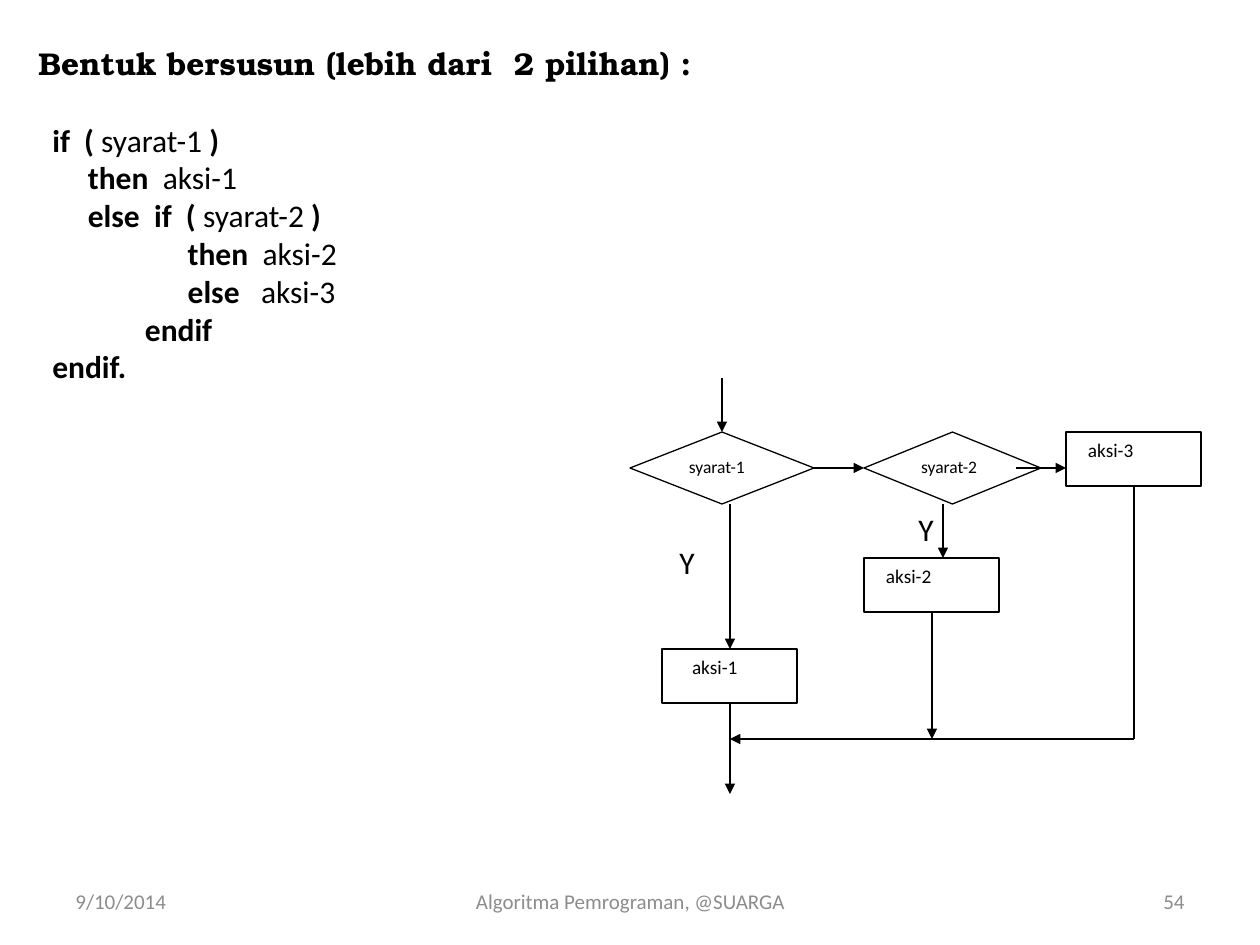
from lxml.etree import SubElement
from pptx import Presentation
from pptx.dml.color import RGBColor as RGB
from pptx.enum.shapes import MSO_CONNECTOR as CONN, MSO_SHAPE as SHAPE
from pptx.enum.text import MSO_ANCHOR as ANCHOR, MSO_AUTO_SIZE as FIT, PP_ALIGN as ALIGN
from pptx.oxml.ns import qn
from pptx.util import Emu, Pt

COLORS = {"ink": "000000", "paper": "FFFFFF", "footer": "8C8C8C"}


class Flowchart:
    """Draws styled text, boxes and arrows on one slide, measured in px."""

    px_per_inch = 126
    font = "Calibri"
    line_width = 0.75

    def __init__(self, prs):
        self.slide = prs.slides.add_slide(prs.slide_layouts[6])

    def px(self, *values):
        return [Emu(round(v * 914400 / self.px_per_inch)) for v in values]

    def color(self, name):
        return RGB.from_string(COLORS[name])

    def set_text(self, tf, lines, size, color="ink", font=None, align=ALIGN.LEFT, **frame):
        for name, value in frame.items():
            setattr(tf, name, value)
        for i, runs in enumerate(lines):
            p = tf.add_paragraph() if i else tf.paragraphs[0]
            p.alignment = align
            for text, bold in runs:
                r = p.add_run()
                r.text = text
                style = {"name": font or self.font, "size": Pt(size), "bold": bold}
                for name, value in style.items():
                    setattr(r.font, name, value)
                r.font.color.rgb = self.color(color)

    def text(self, box, lines, size, **style):
        sp = self.slide.shapes.add_textbox(*self.px(*box))
        self.set_text(sp.text_frame, lines, size, **style)

    def node(self, kind, box, label, size, inset):
        sp = self.slide.shapes.add_shape(kind, *self.px(*box))
        sp.shadow.inherit = False
        sp.fill.solid()
        sp.fill.fore_color.rgb = self.color("paper")
        sp.line.color.rgb = self.color("ink")
        sp.line.width = Pt(self.line_width)
        self.set_text(sp.text_frame, [[(label, False)]], size, word_wrap=True,
                      vertical_anchor=ANCHOR.TOP, margin_left=self.px(inset)[0])

    def line(self, ends, arrow=True):
        cx = self.slide.shapes.add_connector(CONN.STRAIGHT, *self.px(*ends))
        cx.line.color.rgb = self.color("ink")
        cx.line.width = Pt(self.line_width)
        props = cx.element.spPr
        if arrow:
            SubElement(props.find(qn("a:ln")), qn("a:tailEnd"), type="triangle")
        SubElement(props, qn("a:effectLst"))


def main():
    prs = Presentation()
    prs.slide_width, prs.slide_height = Emu(9144000), Emu(6858000)
    s = Flowchart(prs)
    grow = {"word_wrap": False, "auto_size": FIT.SHAPE_TO_FIT_TEXT}
    middle = {"vertical_anchor": ANCHOR.MIDDLE}

    s.text((26, 38, 696, 50), [[("Bentuk bersusun (lebih dari  2 pilihan) :", True)]],
           18, font="TeX Gyre Bonum", **grow, **middle)

    for left, width, label in [(630, 184, "syarat-1"), (864, 177, "syarat-2")]:
        s.node(SHAPE.FLOWCHART_DECISION, (left, 432, width, 72), label, 10, 13)
    for left, top, label, inset in [(1066, 432, "aksi-3", 22), (864, 558, "aksi-2", 22),
                                    (662, 649, "aksi-1", 30)]:
        s.node(SHAPE.FLOWCHART_PROCESS, (left, top, 135, 54), label, 11, inset)

    merge_y = 739
    for ends in [(722, 378, 722, 432), (730, 504, 730, 649), (814, 468, 864, 468),
                 (1016, 468, 1066, 468), (943, 504, 943, 558), (730, 703, 730, 794),
                 (932, merge_y, 730, merge_y), (932, 612, 932, merge_y)]:
        s.line(ends)
    for ends in [(1134, 486, 1134, merge_y), (1134, merge_y, 932, merge_y)]:
        s.line(ends, arrow=False)

    code = [
        [("if  ( ", True), ("syarat-1 ", False), (")", True)],
        [("     then  ", True), ("aksi-1", False)],
        [("     else  if  (", True), (" syarat-2 ", False), (")", True)],
        [("                   ", False), ("then  ", True), ("aksi-2", False)],
        [("                   ", False), ("else   ", True), ("aksi-3", False)],
        [("             ", False), ("endif", True)],
        [("endif.", True)],
    ]
    s.text((40, 113, 583, 280), code, 18, **grow, **middle)

    for left, top in [(667, 537), (906, 504)]:
        s.text((left, top, 40, 50), [[("Y", False)]], 18, **grow)

    for left, width, label, align in [
            (63, 294, "9/10/2014", ALIGN.LEFT),
            (431, 399, "Algoritma Pemrograman, @SUARGA", ALIGN.CENTER),
            (903, 294, "54", ALIGN.RIGHT)]:
        s.text((left, 876, width, 50), [[(label, False)]], 12, color="footer",
               align=align, word_wrap=True, **middle)

    prs.save("out.pptx")


if __name__ == "__main__":
    main()
